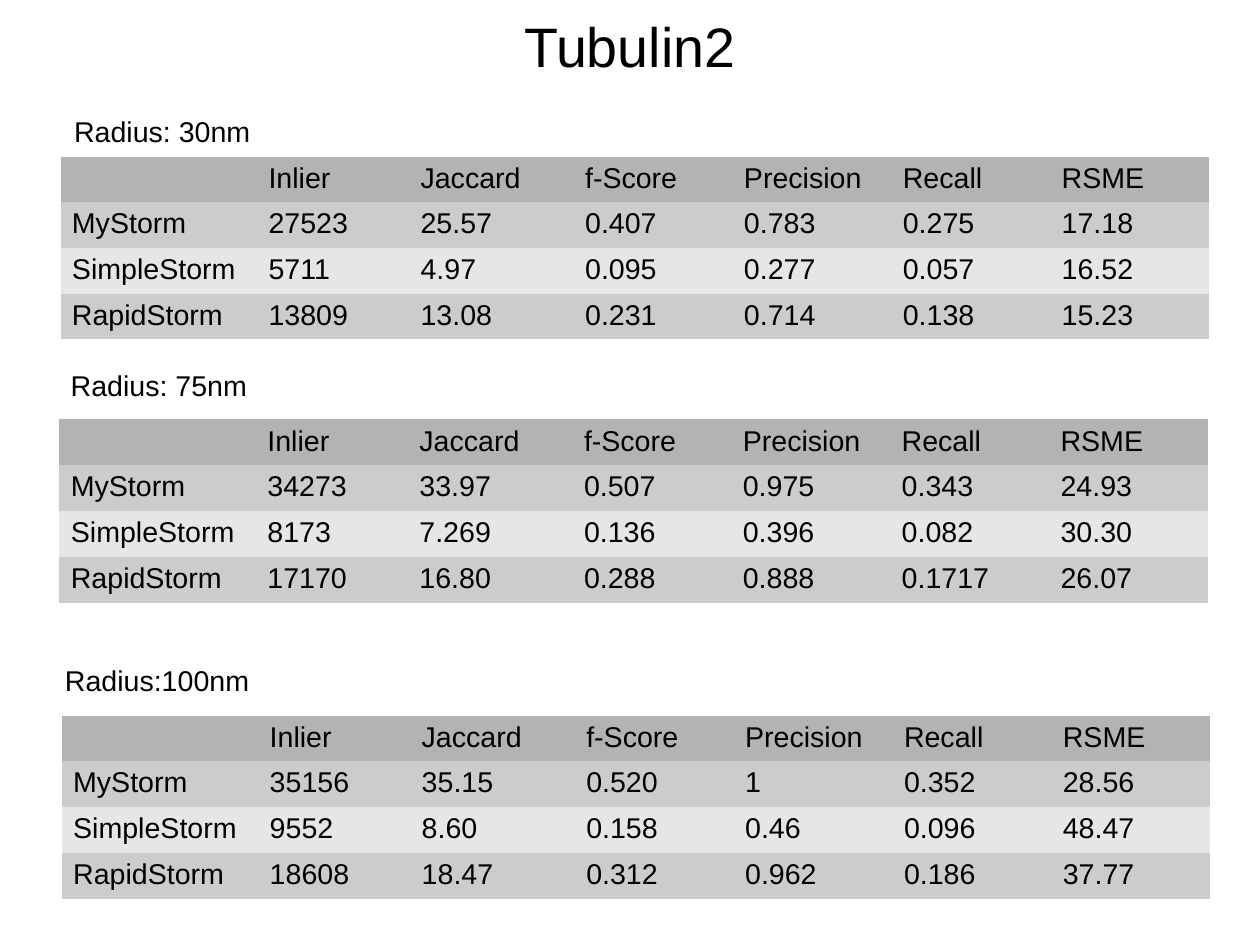
from pptx import Presentation
from pptx import util as u
from pptx.dml import color
from pptx.enum import text
from pptx.oxml import ns
from lxml import etree

COLORS = {"text": "000000", "header": "B3B3B3", "odd": "CCCCCC", "even": "E6E6E6"}
FONT = "Arial"
COLUMN_WIDTHS = [1.72, 1.33, 1.44, 1.39, 1.39, 1.39, 1.39]
ROW_HEIGHT = 0.4
MEASURES = ["", "Inlier", "Jaccard", "f-Score", "Precision", "Recall", "RSME"]

# Each radius: label, label box, table corner, results per program
RADII = [
    ("Radius: 30nm", (0.55, 0.95, 2.13, 0.38), (0.53, 1.37), [
        ["MyStorm", "27523", "25.57", "0.407", "0.783", "0.275", "17.18"],
        ["SimpleStorm", "5711", "4.97", "0.095", "0.277", "0.057", "16.52"],
        ["RapidStorm", "13809", "13.08", "0.231", "0.714", "0.138", "15.23"]]),
    ("Radius: 75nm", (0.52, 3.17, 2.36, 0.38), (0.52, 3.67), [
        ["MyStorm", "34273", "33.97", "0.507", "0.975", "0.343", "24.93"],
        ["SimpleStorm", "8173", "7.269", "0.136", "0.396", "0.082", "30.30"],
        ["RapidStorm", "17170", "16.80", "0.288", "0.888", "0.1717", "26.07"]]),
    ("Radius:100nm", (0.47, 5.75, 2.36, 0.38), (0.54, 6.26), [
        ["MyStorm", "35156", "35.15", "0.520", "1", "0.352", "28.56"],
        ["SimpleStorm", "9552", "8.60", "0.158", "0.46", "0.096", "48.47"],
        ["RapidStorm", "18608", "18.47", "0.312", "0.962", "0.186", "37.77"]]),
]


def rgb(name):
    return color.RGBColor.from_string(COLORS[name])


def write(frame, words, size=18):
    frame.text = words
    font = frame.paragraphs[0].font
    font.name, font.size = FONT, u.Pt(size)
    font.color.rgb = rgb("text")


def add_title(slide, words, box):
    title = slide.shapes.title
    title.left, title.top, title.width, title.height = map(u.Inches, box)
    frame = title.text_frame
    frame.margin_left = frame.margin_right = frame.margin_top = frame.margin_bottom = 0
    frame.vertical_anchor = text.MSO_ANCHOR.MIDDLE
    write(frame, words, 35)
    frame.paragraphs[0].alignment = text.PP_ALIGN.CENTER


def add_radius_label(slide, words, box):
    label = slide.shapes.add_textbox(*map(u.Inches, box)).text_frame
    label.word_wrap = True
    write(label, words)


def clear_borders(cell):
    properties = cell._tc.get_or_add_tcPr()
    for side in ("a:lnL", "a:lnR", "a:lnT", "a:lnB"):
        border = etree.SubElement(properties, ns.qn(side), w="0")
        etree.SubElement(border, ns.qn("a:noFill"))


def add_results(slide, results, corner):
    rows = [MEASURES] + results
    left, top = corner
    table = slide.shapes.add_table(
        len(rows), len(MEASURES), u.Inches(left), u.Inches(top),
        u.Inches(sum(COLUMN_WIDTHS)), u.Inches(ROW_HEIGHT * len(rows))).table
    for column, width in zip(table.columns, COLUMN_WIDTHS):
        column.width = u.Inches(width)
    table.first_row = table.horz_banding = False

    for r, values in enumerate(rows):
        band = "header" if r == 0 else "odd" if r % 2 else "even"
        for c, value in enumerate(values):
            cell = table.cell(r, c)
            clear_borders(cell)
            cell.fill.solid()
            cell.fill.fore_color.rgb = rgb(band)
            write(cell.text_frame, value)


def main():
    # A page of 28 by 21 cm
    deck = Presentation()
    deck.slide_width, deck.slide_height = u.Inches(28 / 2.54), u.Inches(21 / 2.54)
    slide = deck.slides.add_slide(deck.slide_layouts[5])

    add_title(slide, "Tubulin2", (0.55, 0.08, 9.92, 0.63))
    for radius, label_box, table_corner, results in RADII:
        add_results(slide, results, table_corner)
        add_radius_label(slide, radius, label_box)

    deck.save("out.pptx")


if __name__ == "__main__":
    main()
